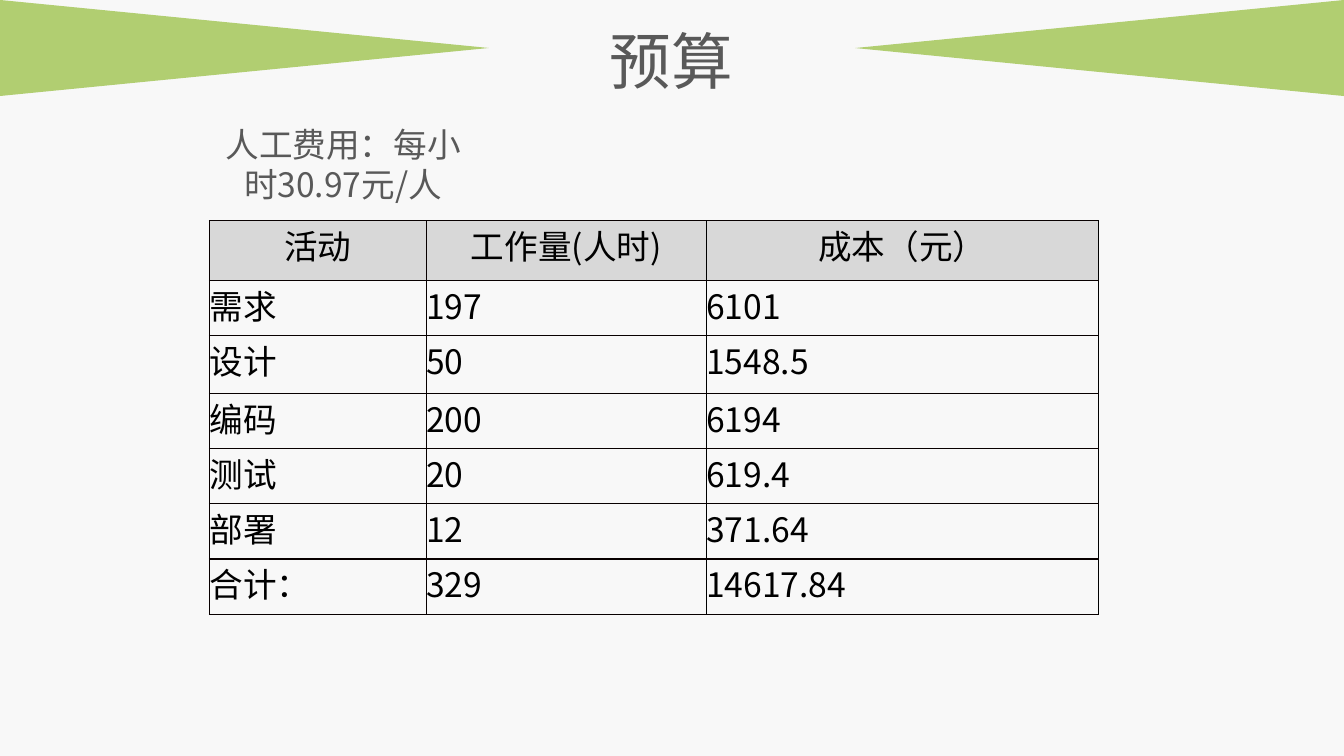
from dataclasses import dataclass

from lxml import etree
from pptx import Presentation
from pptx.dml.color import RGBColor
from pptx.enum.shapes import MSO_SHAPE
from pptx.enum.text import PP_ALIGN
from pptx.oxml.ns import qn
from pptx.util import Cm, Pt

CENTER, LEFT = PP_ALIGN.CENTER, PP_ALIGN.LEFT
TRIANGLE = MSO_SHAPE.ISOSCELES_TRIANGLE


@dataclass(frozen=True)
class Theme:
    font: str = "Noto Sans CJK SC"
    back: str = "F8F8F8"
    green: str = "B1CE71"
    gray: str = "595959"
    head: str = "D8D8D8"
    ink: str = "000000"
    rule: str = "080000"
    title: int = 44
    body: int = 24


class Deck:
    def __init__(self, theme):
        self.theme = theme
        self.file = Presentation()
        self.file.slide_width, self.file.slide_height = Cm(33.87), Cm(19.05)
        self.slide = self.file.slides.add_slide(self.file.slide_layouts[6])
        self.paint(self.slide.background.fill, theme.back)

    def paint(self, fill, color):
        fill.solid()
        fill.fore_color.rgb = RGBColor.from_string(color)

    def label(self, frame, text, size, color, align):
        frame.text = text
        para = frame.paragraphs[0]
        para.alignment = align
        for run in para.runs:
            run.font.size = Pt(size)
            run.font.name = self.theme.font
            run.font.color.rgb = RGBColor.from_string(color)
            east = etree.SubElement(run._r.get_or_add_rPr(), qn("a:ea"))
            east.set("typeface", self.theme.font)

    def text(self, x, y, w, h, text, size):
        box = self.slide.shapes.add_textbox(Cm(x), Cm(y), Cm(w), Cm(h))
        box.text_frame.word_wrap = True
        self.label(box.text_frame, text, size, self.theme.gray, CENTER)

    def wedge(self, x, y, w, h, turn):
        """Triangle filling the given area, its tip turned sideways."""
        left, top = x + (w - h) / 2, y + (h - w) / 2
        shape = self.slide.shapes.add_shape(
            TRIANGLE, Cm(left), Cm(top), Cm(h), Cm(w))
        shape.rotation = turn
        shape.shadow.inherit = False
        self.paint(shape.fill, self.theme.green)
        shape.line.fill.background()

    def border(self, cell, side, width, color):
        props = cell._tc.get_or_add_tcPr()
        line = etree.SubElement(props, qn(f"a:ln{side}"), w=str(Pt(width)))
        fill = etree.SubElement(line, qn("a:solidFill"))
        etree.SubElement(fill, qn("a:srgbClr"), val=color)

    def table(self, x, y, cols, rows, data, edges):
        frame = self.slide.shapes.add_table(
            len(rows), len(cols), Cm(x), Cm(y), Cm(sum(cols)), Cm(sum(rows)))
        table = frame.table
        table.first_row = table.horz_banding = False
        for col, width in zip(table.columns, cols):
            col.width = Cm(width)
        for row, height in zip(table.rows, rows):
            row.height = Cm(height)
        for r, line in enumerate(data):
            for c, text in enumerate(line):
                self.cell(table.cell(r, c), text, r == 0, edges[c:c + 2])

    def cell(self, cell, text, head, sides):
        theme = self.theme
        cell.margin_left = cell.margin_right = 0
        cell.margin_top = cell.margin_bottom = 0
        flat = (1, theme.rule)
        for side, style in zip("LRTB", (*sides, flat, flat)):
            self.border(cell, side, *style)
        if head:
            self.paint(cell.fill, theme.head)
        else:
            cell.fill.background()
        self.label(cell.text_frame, text, theme.body, theme.ink,
                   CENTER if head else LEFT)


BUDGET = [
    ("活动", "工作量(人时)", "成本（元）"),
    ("需求", "197", "6101"),
    ("设计", "50", "1548.5"),
    ("编码", "200", "6194"),
    ("测试", "20", "619.4"),
    ("部署", "12", "371.64"),
    ("合计：", "329", "14617.84"),
]


def main():
    theme = Theme()
    deck = Deck(theme)

    # Side wedges and title
    wide, high = 12.32, 2.42
    deck.wedge(0, 0, wide, high, 90)
    deck.wedge(33.87 - wide, 0, wide, high, 270)
    deck.text(12.01, 0.46, 9.83, 2.13, "预算", theme.title)

    # Budget table: outer left and first divider are heavier
    thick, thin = (1, theme.rule), (0.75, theme.ink)
    deck.table(5.28, 5.56, [5.46, 7.06, 9.88],
               [1.5, 1.39, 1.47] + [1.39] * 4, BUDGET,
               [thick, thick, thin, thin])

    # Hourly rate
    deck.text(5.28, 3, 6.73, 2.31, "人工费用：每小时30.97元/人", theme.body)

    deck.file.save("out.pptx")


if __name__ == "__main__":
    main()
